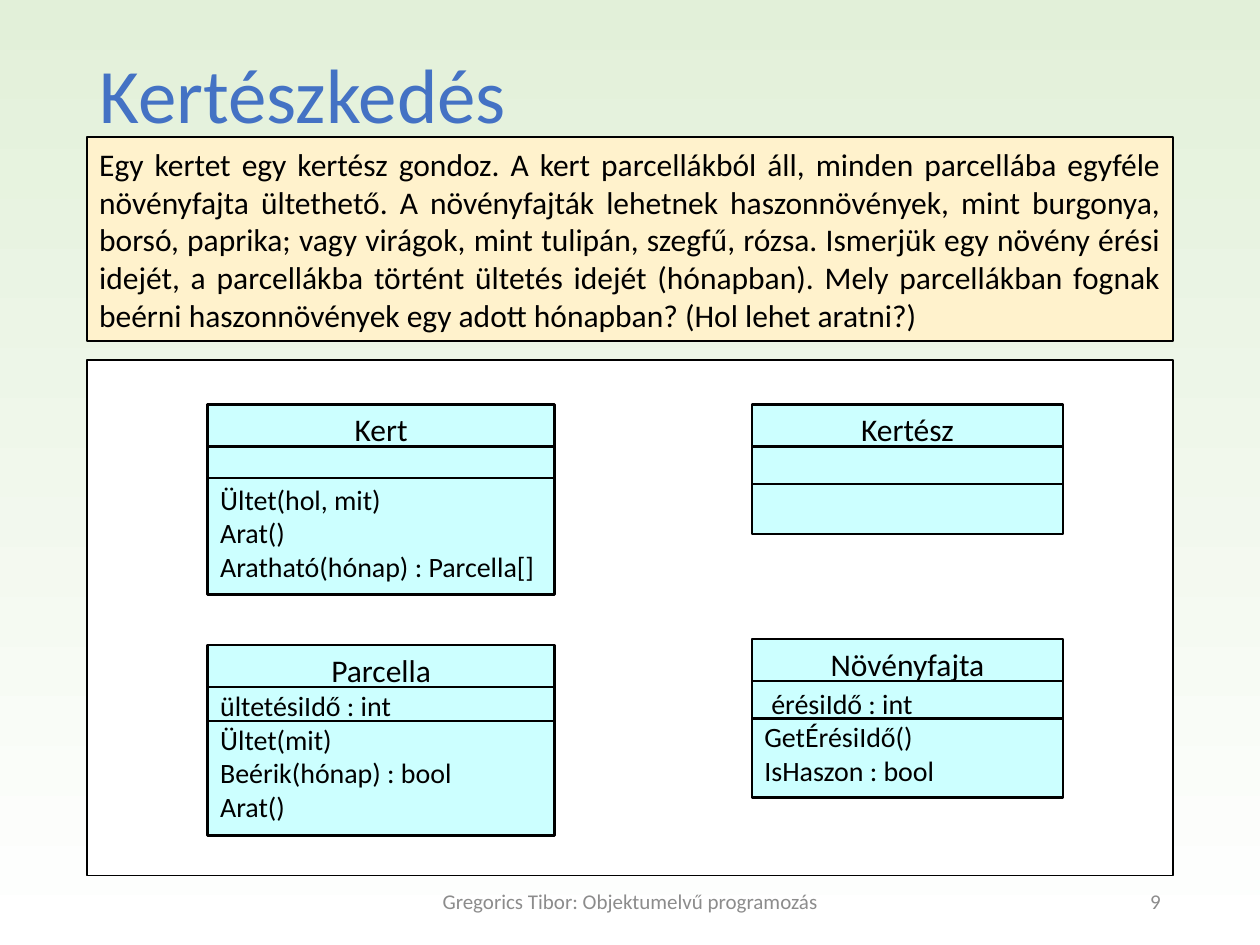
from pptx import Presentation
from pptx.dml.color import RGBColor
from pptx.enum.shapes import MSO_SHAPE
from pptx.enum.text import MSO_ANCHOR, MSO_AUTO_SIZE, PP_ALIGN
from pptx.util import Cm, Pt

FONT = "Calibri"
TITLE = "Kertészkedés"
TASK = (
    "Egy kertet egy kertész gondoz. A kert parcellákból áll, minden parcellába egyféle "
    "növényfajta ültethető. A növényfajták lehetnek haszonnövények, mint burgonya, borsó, "
    "paprika; vagy virágok, mint tulipán, szegfű, rózsa. Ismerjük egy növény érési idejét, "
    "a parcellákba történt ültetés idejét (hónapban). Mely parcellákban fognak beérni "
    "haszonnövények egy adott hónapban? (Hol lehet aratni?)"
)
FOOTER = "Gregorics Tibor: Objektumelvű programozás"
SLIDE_NUMBER = "9"

# Lengths in cm
MARGIN, CONTENT_WIDTH = 1.75, 21.9
FOOTER_TOP, FOOTER_HEIGHT = 17.65, 1.02
HEADER_HEIGHT = 0.85
LEFT_COLUMN, RIGHT_COLUMN = (4.19, 6.99), (15.16, 6.27)

# name, column, top, height, attribute height, members, first member's (space before pt, indent cm)
CLASSES = [
    ("Kert", LEFT_COLUMN, 8.15, 3.84, 0.64,
     ["Ültet(hol, mit)", "Arat()", "Aratható(hónap) : Parcella[]"], (19.5, 0)),
    ("Kertész", RIGHT_COLUMN, 8.15, 2.62, 0.76, [], (0, 0)),
    ("Parcella", LEFT_COLUMN, 13, 3.84, 0.69,
     ["ültetésiIdő : int", "Ültet(mit)", "Beérik(hónap) : bool", "Arat()"], (0, 0)),
    ("Növényfajta", RIGHT_COLUMN, 12.88, 3.2, 0.76,
     ["érésiIdő : int", "GetÉrésiIdő()", "IsHaszon : bool"], (2, 0.14)),
]


def color(value):
    return RGBColor.from_string(value)


def add_box(slide, left, top, width, height, fill=None, line_width=1.5):
    shape = slide.shapes.add_shape(
        MSO_SHAPE.RECTANGLE, Cm(left), Cm(top), Cm(width), Cm(height))
    shape.shadow.inherit = False
    if fill:
        shape.fill.solid()
        shape.fill.fore_color.rgb = color(fill)
    else:
        shape.fill.background()
    shape.line.color.rgb = color("000000")
    shape.line.width = Pt(line_width)
    shape.text_frame.word_wrap = True
    shape.text_frame.vertical_anchor = MSO_ANCHOR.TOP
    return shape


def write(paragraph, text, size, alignment=PP_ALIGN.LEFT, font_color="000000"):
    paragraph.text = text
    paragraph.alignment = alignment
    paragraph.font.name = FONT
    paragraph.font.size = Pt(size)
    paragraph.font.color.rgb = color(font_color)


def add_class(slide, name, column, top, height, attribute_height, members, first_member):
    left, width = column
    frame = add_box(slide, left, top, width, height, "CCFFFF").text_frame
    write(frame.paragraphs[0], name, 18, PP_ALIGN.CENTER)
    for index, member in enumerate(members):
        paragraph = frame.add_paragraph()
        write(paragraph, member, 16)
        if index == 0:
            space, indent = first_member
            paragraph.space_before = Pt(space)
            paragraph._p.get_or_add_pPr().set("marL", str(Cm(indent)))
    add_box(slide, left, top + HEADER_HEIGHT, width, attribute_height)


def add_footer(slide, text, left, width, alignment):
    frame = slide.shapes.add_textbox(
        Cm(left), Cm(FOOTER_TOP), Cm(width), Cm(FOOTER_HEIGHT)).text_frame
    frame.word_wrap = True
    frame.vertical_anchor = MSO_ANCHOR.MIDDLE
    write(frame.paragraphs[0], text, 12, alignment, "8C8C8C")


def main():
    presentation = Presentation()
    presentation.slide_width, presentation.slide_height = Cm(25.4), Cm(19.05)
    slide = presentation.slides.add_slide(presentation.slide_layouts[5])

    background = slide.background.fill
    background.gradient()
    background.gradient_angle = 90
    for stop, value in zip(background.gradient_stops, ("FFFFFF", "E2F0D9")):
        stop.color.rgb = color(value)

    title = slide.shapes.title
    title.left, title.top = Cm(MARGIN), Cm(1.02)
    title.width, title.height = Cm(CONTENT_WIDTH), Cm(3.68)
    title.text_frame.vertical_anchor = MSO_ANCHOR.TOP
    title.text_frame.auto_size = MSO_AUTO_SIZE.NONE
    heading = title.text_frame.paragraphs[0]
    write(heading, TITLE, 44, font_color="4472C4")
    heading.line_spacing = 0.9

    task = add_box(slide, MARGIN, 2.77, CONTENT_WIDTH, 4.11, "FFF2CC", 1).text_frame
    task.vertical_anchor = MSO_ANCHOR.MIDDLE
    paragraph = task.paragraphs[0]
    write(paragraph, TASK, 18, PP_ALIGN.JUSTIFY)
    paragraph.space_before = paragraph.space_after = Pt(7.2)

    add_box(slide, MARGIN, 7.26, CONTENT_WIDTH, 10.39, "FFFFFF", 1)
    for class_data in CLASSES:
        add_class(slide, *class_data)

    add_footer(slide, FOOTER, 8.41, 8.59, PP_ALIGN.CENTER)
    add_footer(slide, SLIDE_NUMBER, 17.93, 5.72, PP_ALIGN.RIGHT)
    presentation.save("out.pptx")


if __name__ == "__main__":
    main()
